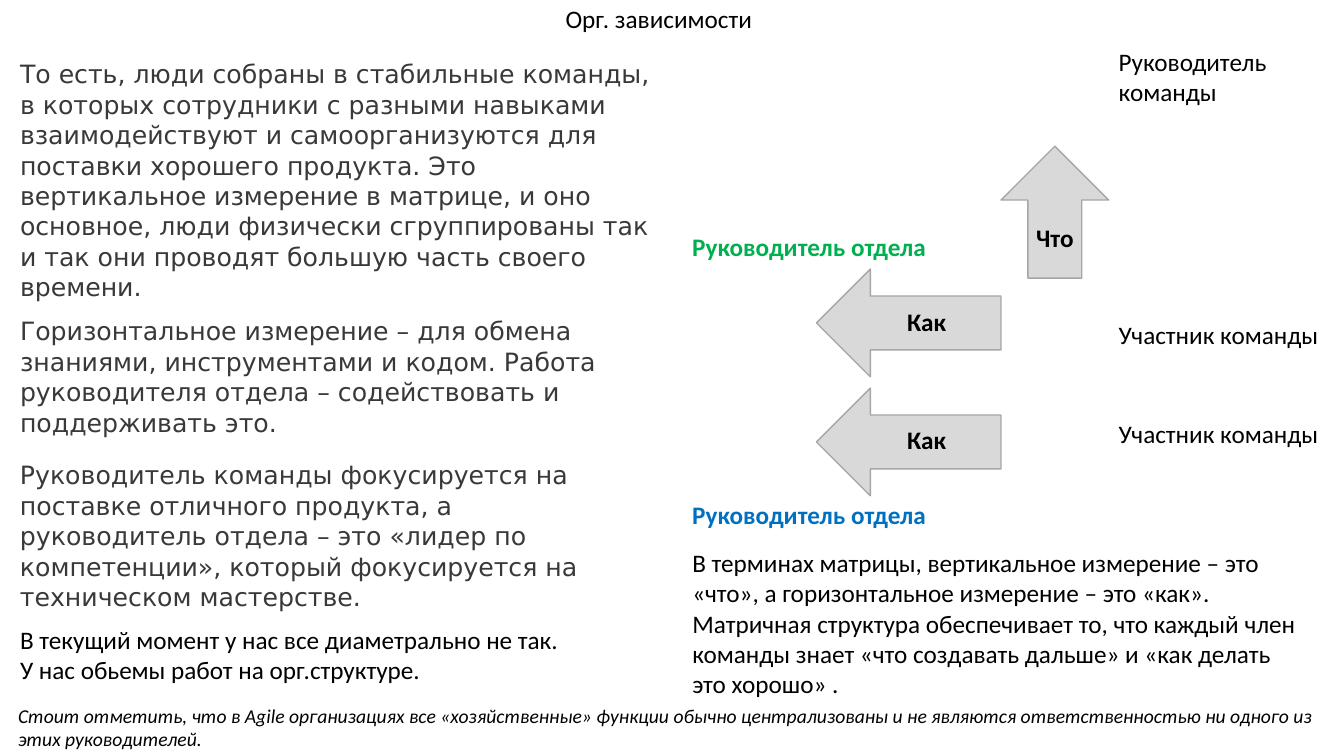
from pptx import Presentation
from pptx.dml.color import RGBColor
from pptx.enum.shapes import MSO_SHAPE as Shape
from pptx.enum.text import MSO_ANCHOR as Anchor, MSO_AUTO_SIZE as AutoSize, PP_ALIGN as Align
from pptx.util import Pt

BLACK = RGBColor(0x00, 0x00, 0x00)
DARK_GREY = RGBColor(0x39, 0x39, 0x39)
ARROW_FILL = RGBColor(0xD9, 0xD9, 0xD9)
ARROW_LINE = RGBColor(0xA6, 0xA6, 0xA6)
GREEN = RGBColor(0x00, 0xB0, 0x50)
BLUE = RGBColor(0x00, 0x70, 0xC0)

BODY_FONT = "Calibri"
STORY_FONT = "DejaVu Sans"
LINE_HEIGHT = 28.8
STORY_LEFT = 7.2
MATRIX_LEFT = 487.4
TEAM_LEFT = 792

STORY = [
    (38.2, 467.3, 181.4,
     "То есть, люди собраны в стабильные команды, в которых сотрудники с разными "
     "навыками взаимодействуют и самоорганизуются для поставки хорошего продукта. "
     "Это вертикальное измерение в матрице, и оно основное, люди физически "
     "сгруппированы так и так они проводят большую часть своего времени."),
    (221.8, 469.4, 94.3,
     "Горизонтальное измерение – для обмена знаниями, инструментами и кодом. "
     "Работа руководителя отдела – содействовать и поддерживать это."),
    (324.7, 453.6, 116.6,
     "Руководитель команды фокусируется на поставке отличного продукта, "
     "а руководитель отдела – это «лидер по компетенции», который фокусируется "
     "на техническом мастерстве."),
]
SITUATION = ("В текущий момент у нас все диаметрально не так.\n"
             "У нас обьемы работ на орг.структуре.")
MATRIX_TERMS = (
    "В терминах матрицы, вертикальное измерение – это «что», а горизонтальное "
    "измерение – это «как». Матричная структура обеспечивает то, что каждый член "
    "команды знает «что создавать дальше» и «как делать это хорошо» .")
FOOTNOTE = (
    "Стоит отметить, что в Agile организациях все «хозяйственные» функции обычно "
    "централизованы и не являются ответственностью ни одного из этих руководителей.")


def place(shape, left, top, width, height):
    shape.left, shape.top = Pt(left), Pt(top)
    shape.width, shape.height = Pt(width), Pt(height)


def add_title(slide, text):
    title = slide.shapes.title
    place(title, -9.4, -1.4, 960, LINE_HEIGHT)
    frame = title.text_frame
    frame.text = text
    frame.vertical_anchor = Anchor.TOP
    frame.auto_size = AutoSize.SHAPE_TO_FIT_TEXT
    paragraph = frame.paragraphs[0]
    paragraph.alignment = Align.CENTER
    paragraph.font.name, paragraph.font.size = BODY_FONT, Pt(18)
    paragraph.font.color.rgb = BLACK


def add_text(slide, box, text, color=BLACK, font=BODY_FONT, size=18,
             bold=False, italic=False, wrap=True, spacing=None):
    frame = slide.shapes.add_textbox(*map(Pt, box)).text_frame
    frame.text = text
    frame.word_wrap = wrap
    frame.auto_size = AutoSize.SHAPE_TO_FIT_TEXT
    for paragraph in frame.paragraphs:
        paragraph.line_spacing = spacing
        paragraph.font.name, paragraph.font.size = font, Pt(size)
        paragraph.font.bold, paragraph.font.italic = bold, italic
        paragraph.font.color.rgb = color


def add_label(slide, left, top, width, text, color=BLACK, bold=True):
    add_text(slide, (left, top, width, LINE_HEIGHT), text, color, bold=bold, wrap=False)


def add_arrow(slide, preset, left, top, width, height):
    arrow = slide.shapes.add_shape(preset, Pt(left), Pt(top), Pt(width), Pt(height))
    arrow.shadow.inherit = False
    arrow.fill.solid()
    arrow.fill.fore_color.rgb = ARROW_FILL
    arrow.line.color.rgb = ARROW_LINE
    arrow.line.width = Pt(1)


def main():
    deck = Presentation()
    deck.slide_width, deck.slide_height = Pt(960), Pt(540)
    slide = deck.slides.add_slide(deck.slide_layouts[5])
    add_title(slide, "Орг. зависимости")

    for top, width, height, text in STORY:
        add_text(slide, (STORY_LEFT, top, width, height), text, DARK_GREY, STORY_FONT,
                 spacing=Pt(21.7))
    add_text(slide, (STORY_LEFT, 442.1, 445.7, 51.1), SITUATION)

    add_arrow(slide, Shape.UP_ARROW, 715, 104.4, 77, 94.3)
    add_label(slide, 733, 155.5, 41.8, "Что")
    for arrow_top, label_top in ((192.2, 215.3), (277.2, 299.5)):
        add_arrow(slide, Shape.LEFT_ARROW, 583.2, arrow_top, 131.8, 77)
        add_label(slide, 640.8, label_top, 42.5, "Как")

    add_label(slide, MATRIX_LEFT, 162, 182.2, "Руководитель отдела", GREEN)
    add_label(slide, MATRIX_LEFT, 352.8, 182.2, "Руководитель отдела", BLUE)
    add_text(slide, (TEAM_LEFT, 29.5, 142.6, 51.1), "Руководитель команды")
    for member_top in (224.6, 295.2):
        add_label(slide, TEAM_LEFT, member_top, 158.4, "Участник команды", bold=False)

    add_text(slide, (MATRIX_LEFT, 387.4, 452.2, 116.6), MATRIX_TERMS)
    add_text(slide, (5.8, 499, 948.2, 41), FOOTNOTE, size=14, italic=True)
    deck.save("out.pptx")


if __name__ == "__main__":
    main()
